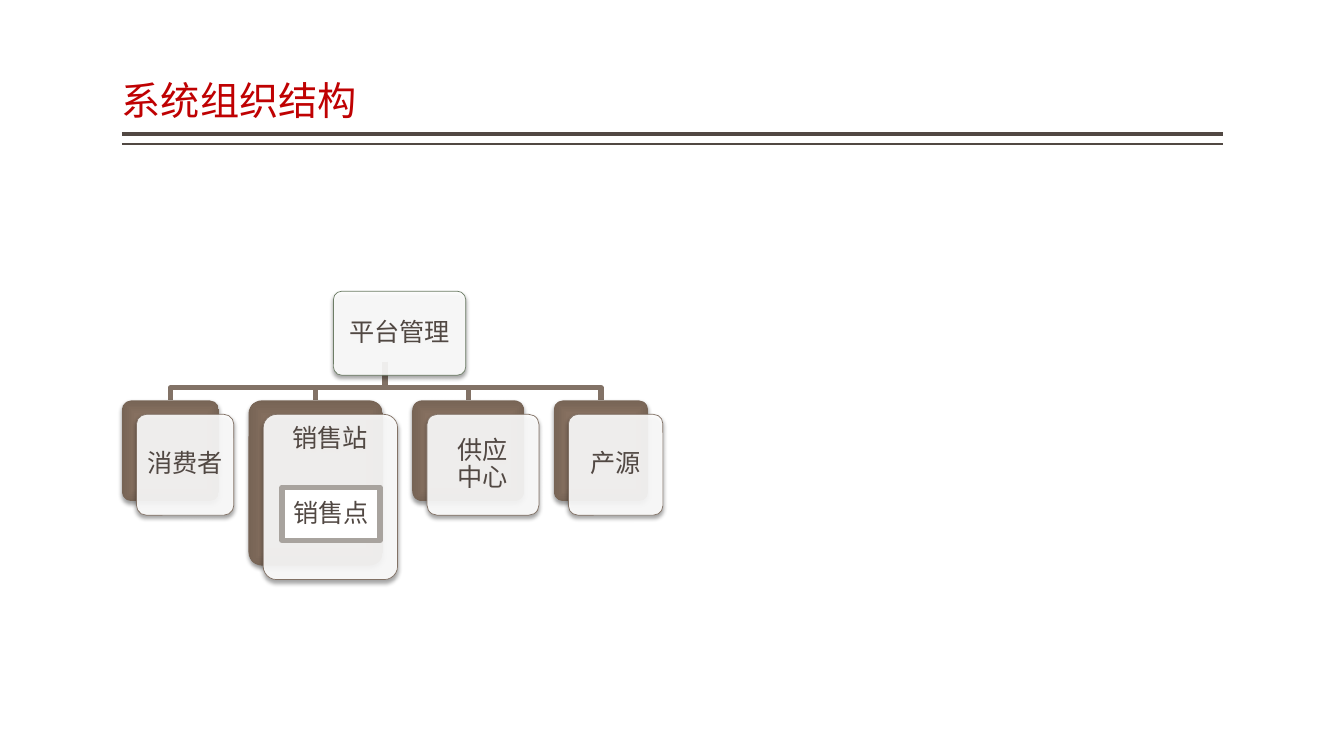
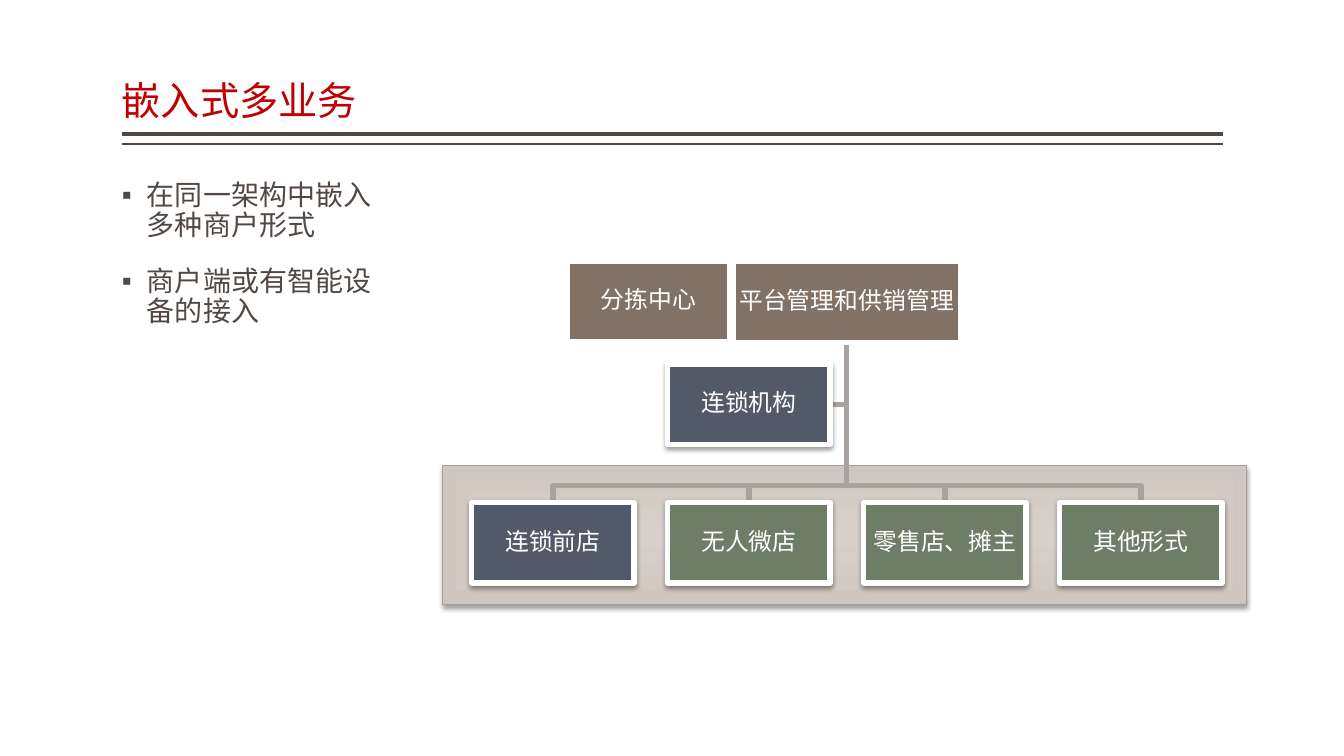
import pptx
import pptx.dml.color
import pptx.enum.shapes
import pptx.enum.text
import pptx.oxml
import pptx.oxml.ns
import pptx.util
from lxml import etree

Pt = pptx.util.Pt
SHAPES = pptx.enum.shapes.MSO_SHAPE
ANCHOR = pptx.enum.text.MSO_ANCHOR
ALIGN = pptx.enum.text.PP_ALIGN

COLORS = {
    "title": "BF0102", "text": "514843", "white": "FFFFFF",
    "brown": "827266", "gray": "A8A39E", "slate": "525A6A", "green": "6D7D66",
    "band_line": "A59F9A",
}
CARD_GRADIENT = [(0, "877161"), (71, "867060"), (100, "776455")]
BAND_GRADIENT = [(0, "D7D0CA"), (100, "CFC7BF")]
LATIN_FONT, CHINESE_FONT = "Arial", "Noto Sans CJK SC"
THICK = 3.78
TITLE_BOX = (87, 6, 786.5, 86)


def rgb(name):
    return pptx.dml.color.RGBColor.from_string(COLORS[name])


def apply(target, values):
    for name, value in values.items():
        setattr(target, name, value)


def xml(tag, body):
    return pptx.oxml.parse_xml(f"<a:{tag} {pptx.oxml.ns.nsdecls('a')}{body}</a:{tag}>")


# ---- text ----
def write_para(para, text, size, color, font=LATIN_FONT, **layout):
    apply(para, {"line_spacing": 0.9, **layout})
    for index, line in enumerate(text.split("\n")):
        if index:
            para.add_line_break()
        span = para.add_run()
        span.text = line
        apply(span.font, {"size": Pt(size), "name": font})
        span.font.color.rgb = rgb(color)
        east_asian = etree.SubElement(span.font._element, pptx.oxml.ns.qn("a:ea"))
        east_asian.set("typeface", CHINESE_FONT)


def set_frame(frame, inset_x, inset_y, anchor):
    apply(frame, {
        "word_wrap": True, "auto_size": pptx.enum.text.MSO_AUTO_SIZE.NONE,
        "vertical_anchor": anchor,
        "margin_left": Pt(inset_x), "margin_right": Pt(inset_x),
        "margin_top": Pt(inset_y), "margin_bottom": Pt(inset_y),
    })


# ---- shapes ----
def set_line(shape, color, width):
    if color is None:
        shape.line.fill.background()
        return
    shape.line.color.rgb = rgb(color)
    shape.line.width = Pt(width)


def set_gradient(shape, stops):
    shape.fill.background()
    blank = shape.element.spPr.find(pptx.oxml.ns.qn("a:noFill"))
    marks = "".join(f'<a:gs pos="{at * 1000}"><a:srgbClr val="{color}"/></a:gs>'
                    for at, color in stops)
    center = '<a:fillToRect l="50000" t="50000" r="50000" b="50000"/>'
    gradient = xml("gradFill", f' rotWithShape="1"><a:gsLst>{marks}</a:gsLst>'
                               f'<a:path path="rect">{center}</a:path>')
    shape.element.spPr.replace(blank, gradient)


def add_box(page, box, fill, line=None, width=0.5, kind=SHAPES.RECTANGLE,
            alpha=100, blur=0):
    shape = page.shapes.add_shape(kind, *map(Pt, box))
    if kind == SHAPES.ROUNDED_RECTANGLE:
        shape.adjustments[0] = 0.1
    if isinstance(fill, list):
        set_gradient(shape, fill)
    else:
        shape.fill.solid()
        shape.fill.fore_color.rgb = rgb(fill)
        if alpha < 100:
            color = shape.element.spPr.find(".//" + pptx.oxml.ns.qn("a:srgbClr"))
            etree.SubElement(color, pptx.oxml.ns.qn("a:alpha")).set("val", str(alpha * 1000))
    set_line(shape, line, width)
    shape.shadow.inherit = False
    if blur:
        effects = shape.element.spPr.find(pptx.oxml.ns.qn("a:effectLst"))
        effects.append(xml("outerShdw", f' blurRad="{Pt(blur)}" dist="{Pt(2)}" dir="5400000">'
                           '<a:srgbClr val="000000"><a:alpha val="38000"/></a:srgbClr>'))
    return shape


def label(shape, text, size, color, inset=5, anchor=ANCHOR.MIDDLE):
    set_frame(shape.text_frame, inset, inset, anchor)
    write_para(shape.text_frame.paragraphs[0], text, size, color, alignment=ALIGN.CENTER)


def add_branch(page, points, color):
    corners = [(Pt(x), Pt(y)) for x, y in points]
    builder = page.shapes.build_freeform(*corners[0])
    builder.add_line_segments(corners[1:], close=False)
    branch = builder.convert_to_shape()
    branch.fill.background()
    set_line(branch, color, THICK)
    branch.shadow.inherit = False


def add_branches(page, start, bar_y, end_y, centers, color):
    x, y = start
    for center in centers:
        add_branch(page, [(x, y), (x, bar_y), (center, bar_y), (center, end_y)], color)


# ---- shared title and double rule ----
def add_titled_page(deck, text):
    page = deck.slides.add_slide(deck.slide_layouts[5])
    left, top, width, height = TITLE_BOX
    for y, weight in ((95.8, 3), (103, 1)):
        rule = page.shapes.add_connector(
            pptx.enum.shapes.MSO_CONNECTOR.STRAIGHT,
            Pt(left), Pt(y), Pt(left + width), Pt(y))
        set_line(rule, "text", weight)
        rule.element.spPr.append(xml("effectLst", ">"))
    title = page.shapes.title
    apply(title, dict(zip(("left", "top", "width", "height"), map(Pt, TITLE_BOX))))
    set_frame(title.text_frame, 0, 3.6, ANCHOR.BOTTOM)
    write_para(title.text_frame.paragraphs[0], text, 28, "title", CHINESE_FONT,
               alignment=ALIGN.LEFT)
    return page


def add_bullets(page, box, items):
    frame = page.shapes.add_textbox(*map(Pt, box)).text_frame
    set_frame(frame, 0, 3.6, ANCHOR.TOP)
    for index, item in enumerate(items):
        para = frame.add_paragraph() if index else frame.paragraphs[0]
        write_para(para, item, 20, "text", space_before=Pt(18))
        properties = para._p.get_or_add_pPr()
        properties.set("marL", str(Pt(18)))
        properties.set("indent", str(Pt(-18)))
        properties.append(xml("buFont", ' typeface="Arial">'))
        properties.append(xml("buChar", ' char="▪">'))


# ---- organisation tree with layered cards ----
def add_glass(page, box, text, line, anchor=ANCHOR.MIDDLE):
    glass = add_box(page, box, "white", line, kind=SHAPES.ROUNDED_RECTANGLE,
                    alpha=90, blur=3.1)
    label(glass, text, 18, "text", anchor=anchor)


def add_card(page, box, text, anchor):
    left, top, width, height = box
    add_box(page, box, CARD_GRADIENT, kind=SHAPES.ROUNDED_RECTANGLE, blur=3.1)
    add_glass(page, (left + 10.5, top + 10, width, height), text, "brown", anchor)


def add_organisation(page, left, top):
    cards = [("消费者", 69.5, 72, ANCHOR.MIDDLE), ("销售站", 96, 118, ANCHOR.TOP),
             ("供应\n中心", 80, 72, ANCHOR.MIDDLE), ("产源", 67.5, 72, ANCHOR.MIDDLE)]
    card_top = top + 78
    lefts = [left + sum(card[1] + 21 for card in cards[:index])
             for index in range(len(cards))]
    centers = [x + card[1] / 2 for x, card in zip(lefts, cards)]
    add_branches(page, (left + 188, top + 50.5), top + 69, card_top, centers, "brown")
    add_glass(page, (left + 151.2, top, 94.5, 60), "平台管理", "green")
    for x, (text, width, height, anchor) in zip(lefts, cards):
        add_card(page, (x, card_top, width, height), text, anchor)
    outlet = add_box(page, (lefts[1] + 24, card_top + 62, 70, 38), "white", "gray", THICK)
    label(outlet, "销售点", 18, "text")


# ---- business tree with a band behind the shops ----
def add_node(page, box, text, fill, blur=3.5):
    node = add_box(page, box, fill, "white", THICK, blur=blur)
    label(node, text, 17, "white", inset=0.7)


def add_business(page, left, top):
    width, height, step = 116, 57.5, 140
    row_left, row_top = left + 21, top + 172.5
    office_left, office_top = row_left + step, top + 73.5
    trunk, trunk_top = left + 288.8, top + 58
    shops = [("连锁前店", "slate"), ("无人微店", "green"),
             ("零售店、摊主", "green"), ("其他形式", "green")]
    lefts = [row_left + step * index for index in range(len(shops))]

    add_box(page, (left, top + 146, 574.5, 99), BAND_GRADIENT, "band_line", blur=3.5)
    arm = office_top + height / 2
    add_branch(page, [(trunk, trunk_top), (trunk, arm), (office_left + width, arm)], "gray")
    add_branches(page, (trunk, trunk_top), top + 160.3, row_top,
                 [x + width / 2 for x in lefts], "gray")
    add_node(page, (left + 89.3, top, width, height), "分拣中心", "brown", blur=0)
    add_node(page, (left + 207.5, top + 0.5, 162.5, height), "平台管理和供销管理",
             "brown", blur=0)
    for x, (text, fill) in zip(lefts, shops):
        add_node(page, (x, row_top, width, height), text, fill)
    add_node(page, (office_left, office_top, width, height), "连锁机构", "slate")


def main():
    deck = pptx.Presentation()
    apply(deck, {"slide_width": Pt(960), "slide_height": Pt(540)})

    page = add_titled_page(deck, "系统组织结构")
    add_organisation(page, 87, 208)

    page = add_titled_page(deck, "嵌入式多业务")
    add_bullets(page, (87, 126, 183, 360),
                ["在同一架构中嵌入多种商户形式", "商户端或有智能设备的接入"])
    add_business(page, 316, 186.5)

    deck.save("out.pptx")


if __name__ == "__main__":
    main()
